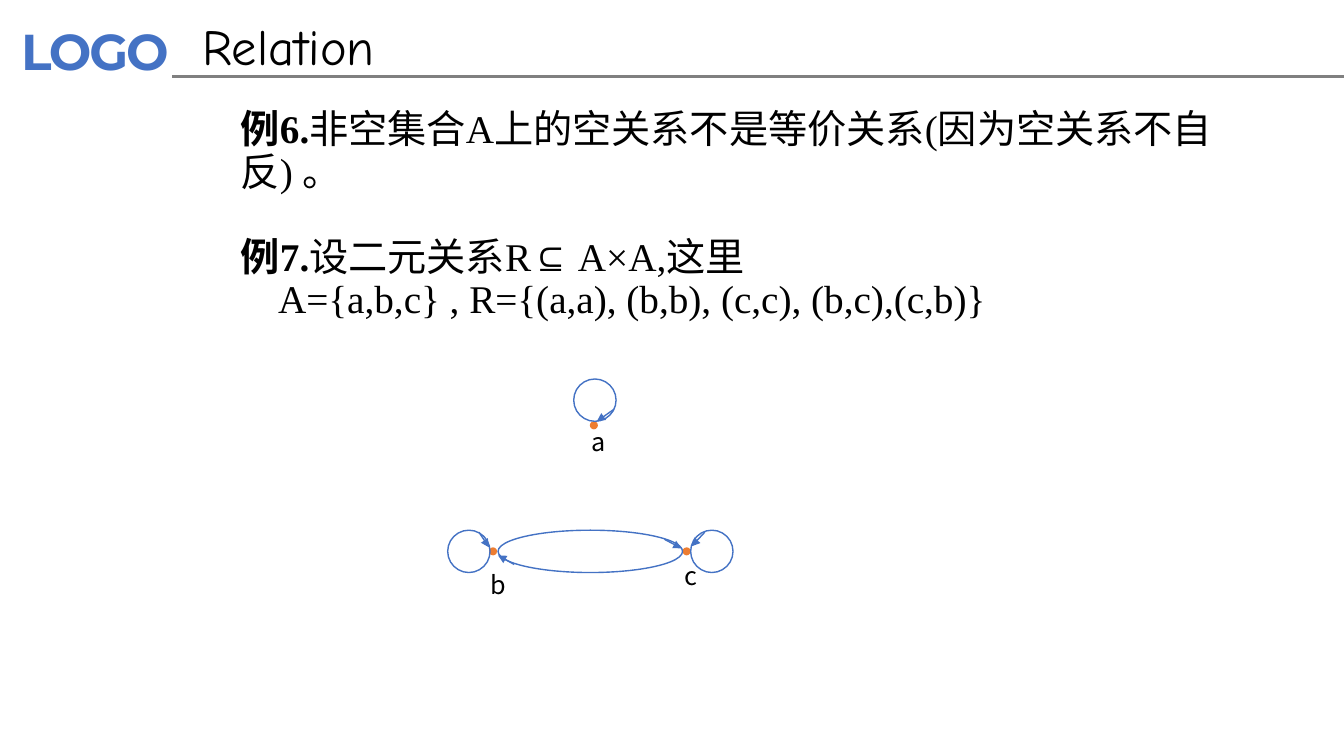
from lxml.etree import SubElement
from pptx import Presentation
from pptx.dml.color import RGBColor
from pptx.enum.shapes import MSO_CONNECTOR, MSO_SHAPE
from pptx.oxml.ns import qn
from pptx.util import Inches, Pt

BLUE, ORANGE, GRAY, BLACK = "4472C4", "ED7D31", "808080", "000000"
SERIF, HAN = "Times New Roman", "Noto Sans CJK SC"


def color(code):
    return RGBColor.from_string(code)


def add_text(slide, box, paras, font=SERIF, size=28, ink=BLACK, ls=None,
             track=None, inset=(0.1, 0.05)):
    """Each paragraph is (runs, space before, indent); a run is (text, bold)."""
    frame = slide.shapes.add_textbox(*map(Inches, box)).text_frame
    frame.word_wrap = True
    frame.margin_left = frame.margin_right = Inches(inset[0])
    frame.margin_top = frame.margin_bottom = Inches(inset[1])
    for i, (runs, gap, indent) in enumerate(paras):
        para = frame.add_paragraph() if i else frame.paragraphs[0]
        para.space_before = Pt(gap)
        para.line_spacing = ls
        if indent:
            props = para._p.get_or_add_pPr()
            props.set("marL", str(Inches(indent)))
            props.set("indent", "0")
        for text, bold in runs:
            run = para.add_run()
            run.text = text
            run.font.name, run.font.size, run.font.bold = font, Pt(size), bold
            run.font.color.rgb = color(ink)
            props = run._r.get_or_add_rPr()
            SubElement(props, qn("a:ea")).set("typeface", HAN)
            if track:
                props.set("spc", str(track))


def add_oval(slide, box, fill=None, line=None):
    oval = slide.shapes.add_shape(MSO_SHAPE.OVAL, *map(Inches, box))
    oval.shadow.inherit = False
    if fill:
        oval.fill.solid()
        oval.fill.fore_color.rgb = color(fill)
    else:
        oval.fill.background()
    if line:
        oval.line.color.rgb = color(line)
        oval.line.width = Pt(1)
    else:
        oval.line.fill.background()


def add_line(slide, ends, ink, width, arrow=False):
    line = slide.shapes.add_connector(MSO_CONNECTOR.STRAIGHT, *map(Inches, ends))
    line.line.color.rgb = color(ink)
    line.line.width = Pt(width)
    if arrow:
        SubElement(line.line._get_or_add_ln(), qn("a:tailEnd")).set("type", "triangle")
    SubElement(line._element.spPr, qn("a:effectLst"))


def add_graph(slide):
    # Nodes
    for x, y in [(5.85, 4.18), (4.85, 5.43), (6.77, 5.43)]:
        add_oval(slide, (x, y, 0.08, 0.08), fill=ORANGE)
    # Loops, then the pair of arcs between b and c
    for x, y, width in [(5.69, 3.76, 0.42), (6.85, 5.26, 0.42),
                        (4.44, 5.26, 0.42), (4.94, 5.26, 1.83)]:
        add_oval(slide, (x, y, width, 0.42), line=BLUE)
    # Node names
    for name, x, y in [("b", 4.77, 5.6), ("c", 6.69, 5.51), ("a", 5.77, 4.18)]:
        add_text(slide, (x, y, 0.42, 0.43), [([(name, False)], 0, 0)],
                 font=HAN, size=18)
    # Arrowheads on the curves
    for ends in [(6.09, 4.06, 5.92, 4.18), (6.59, 5.35, 6.76, 5.44),
                 (5.1, 5.6, 4.94, 5.51), (4.75, 5.28, 4.85, 5.43),
                 (6.99, 5.28, 6.86, 5.42)]:
        add_line(slide, ends, BLUE, 1, arrow=True)


def main():
    deck = Presentation()
    deck.slide_width, deck.slide_height = Inches(13.33), Inches(7.5)
    slide = deck.slides.add_slide(deck.slide_layouts[6])

    # Header
    add_text(slide, (0.08, 0.13, 1.86, 0.74), [([("LOGO", True)], 0, 0)],
             font="Montserrat", size=36, ink=BLUE, track=-150, inset=(0.13, 0.07))
    add_line(slide, (1.71, 0.76, 13.33, 0.76), GRAY, 2)
    add_text(slide, (1.91, 0.1, 6.3, 0.71), [([("Relation", False)], 0, 0)],
             font="Comic Neue", size=36)

    # Examples
    add_text(slide, (2.29, 1.04, 10.64, 1.8), [
        ([("例6.", True),
          ("非空集合A上的空关系不是等价关系(因为空关系不自反) 。", False)], 0, 0),
        ([("例7.", True), ("设二元关系R⊆ A×A,这里", False)], 30.5, 0),
        ([("A={a,b,c} , R={(a,a), (b,b), (c,c), (b,c),(c,b)}", False)], 0, 0.37),
    ], ls=0.9)

    add_graph(slide)
    deck.save("out.pptx")


if __name__ == "__main__":
    main()
